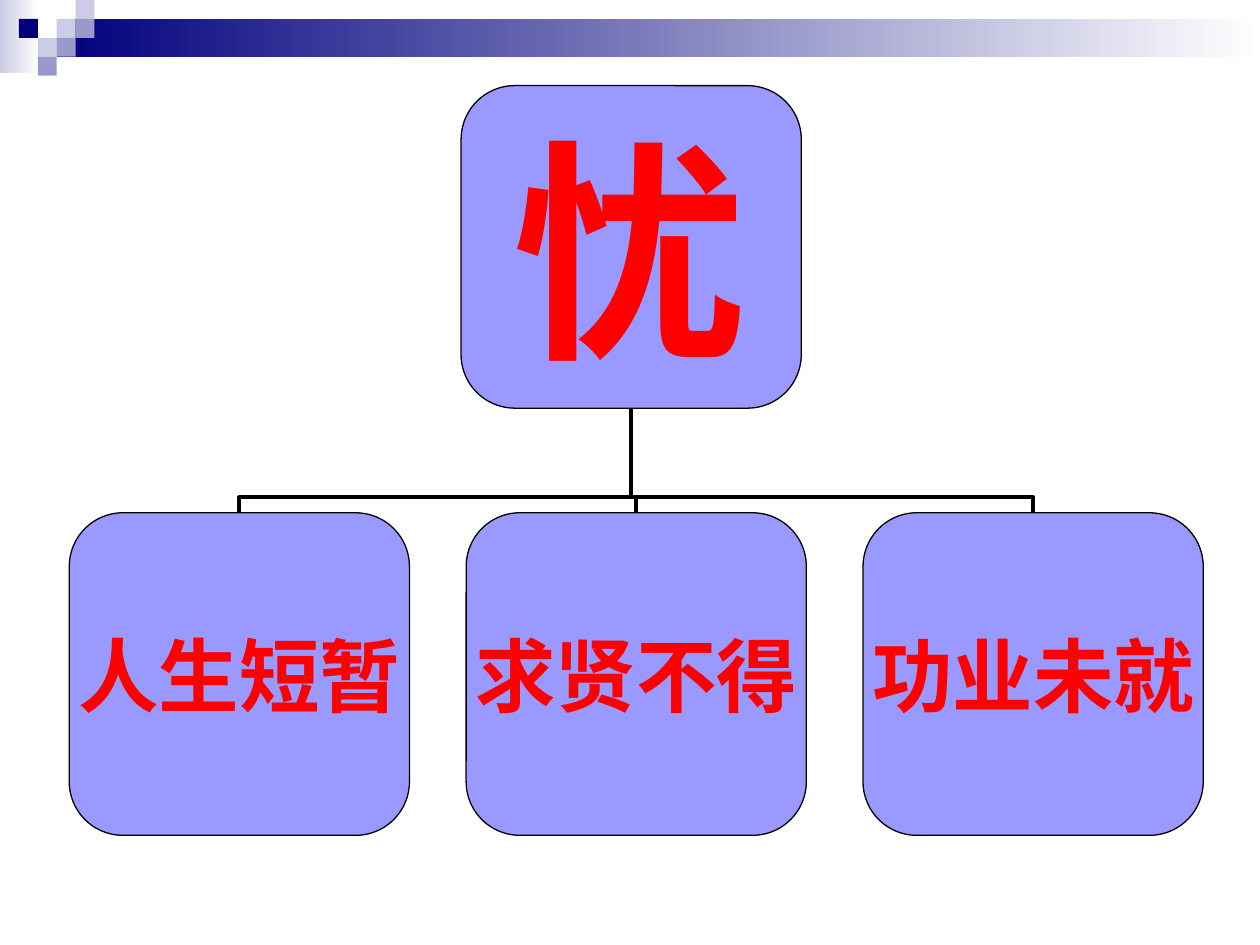
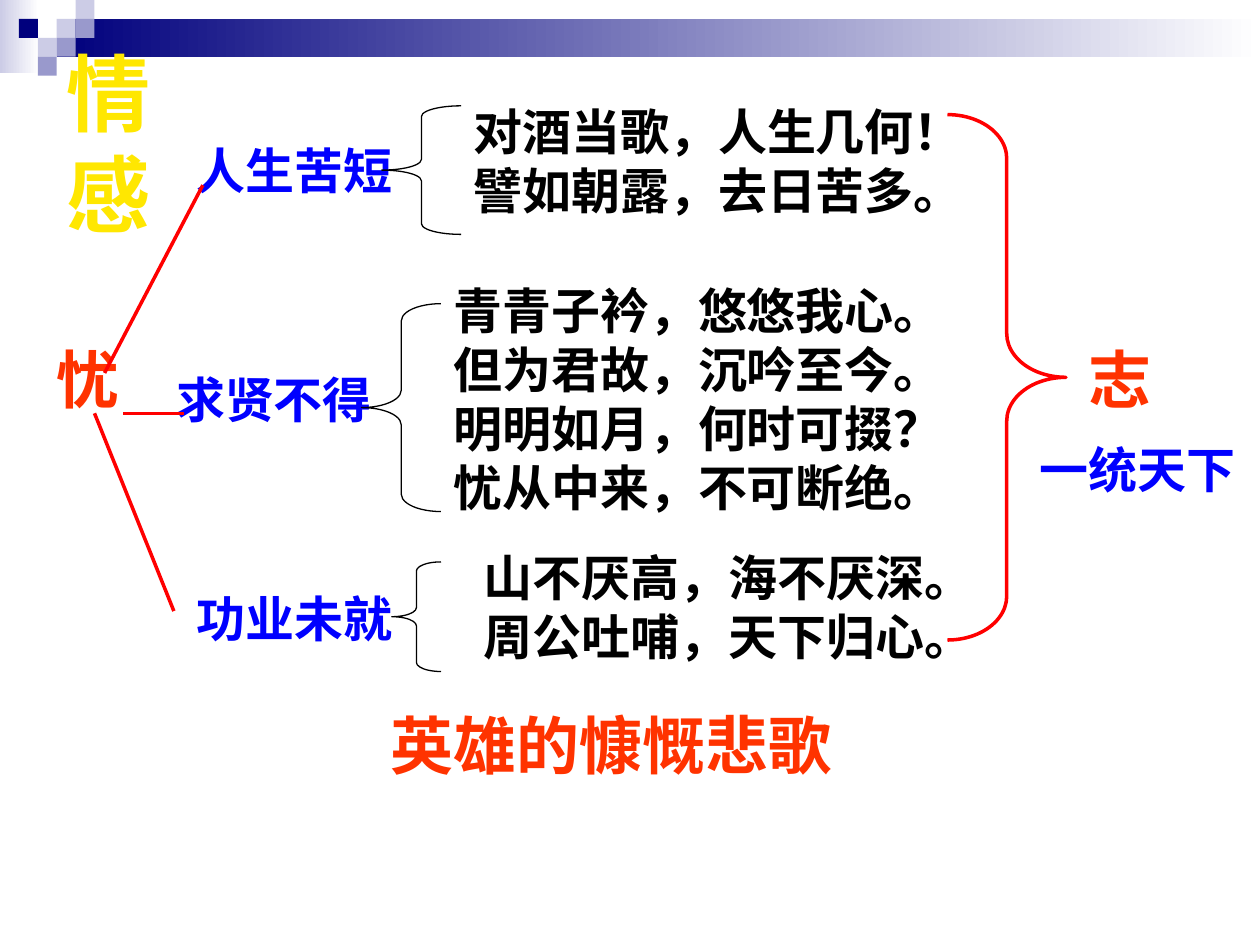
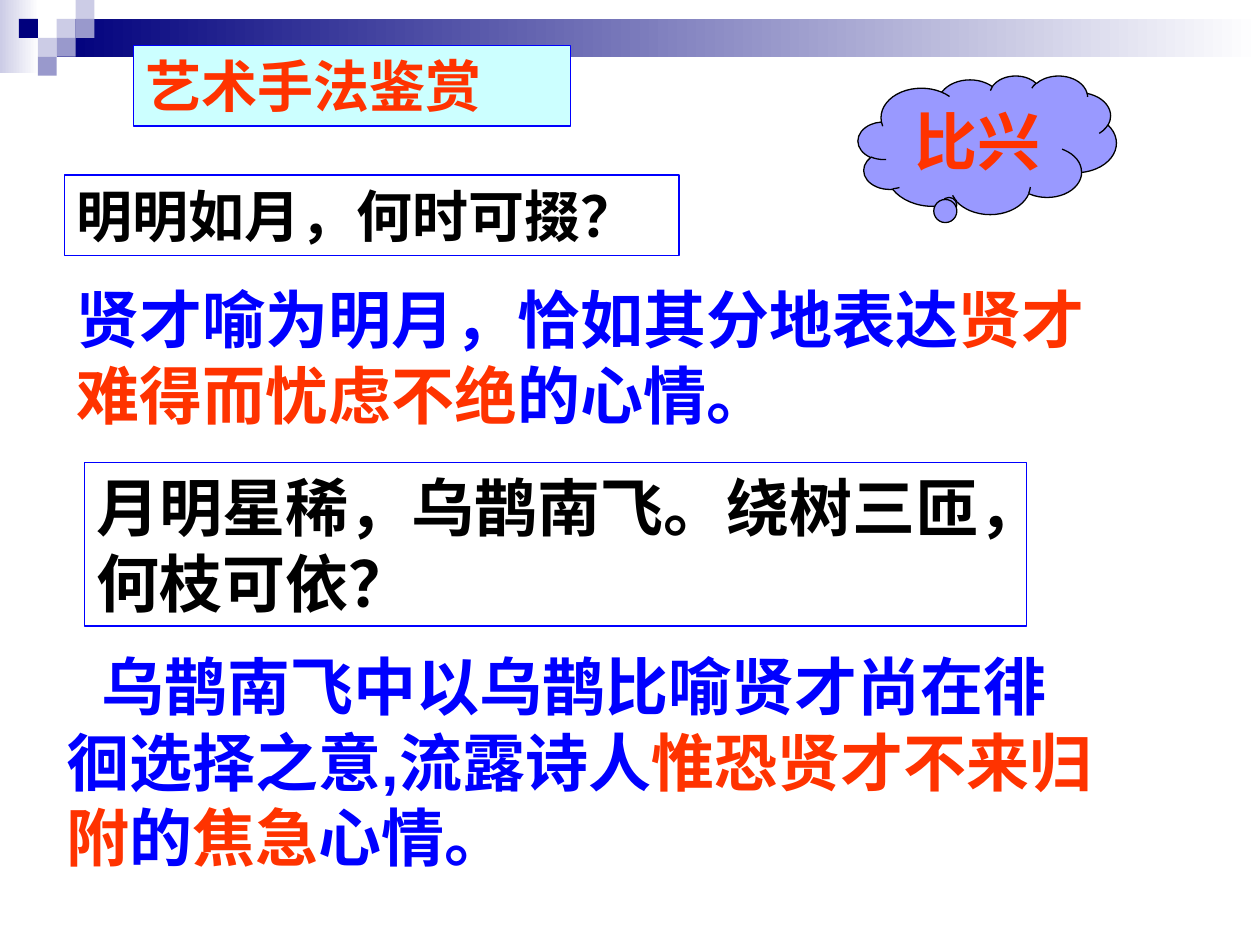
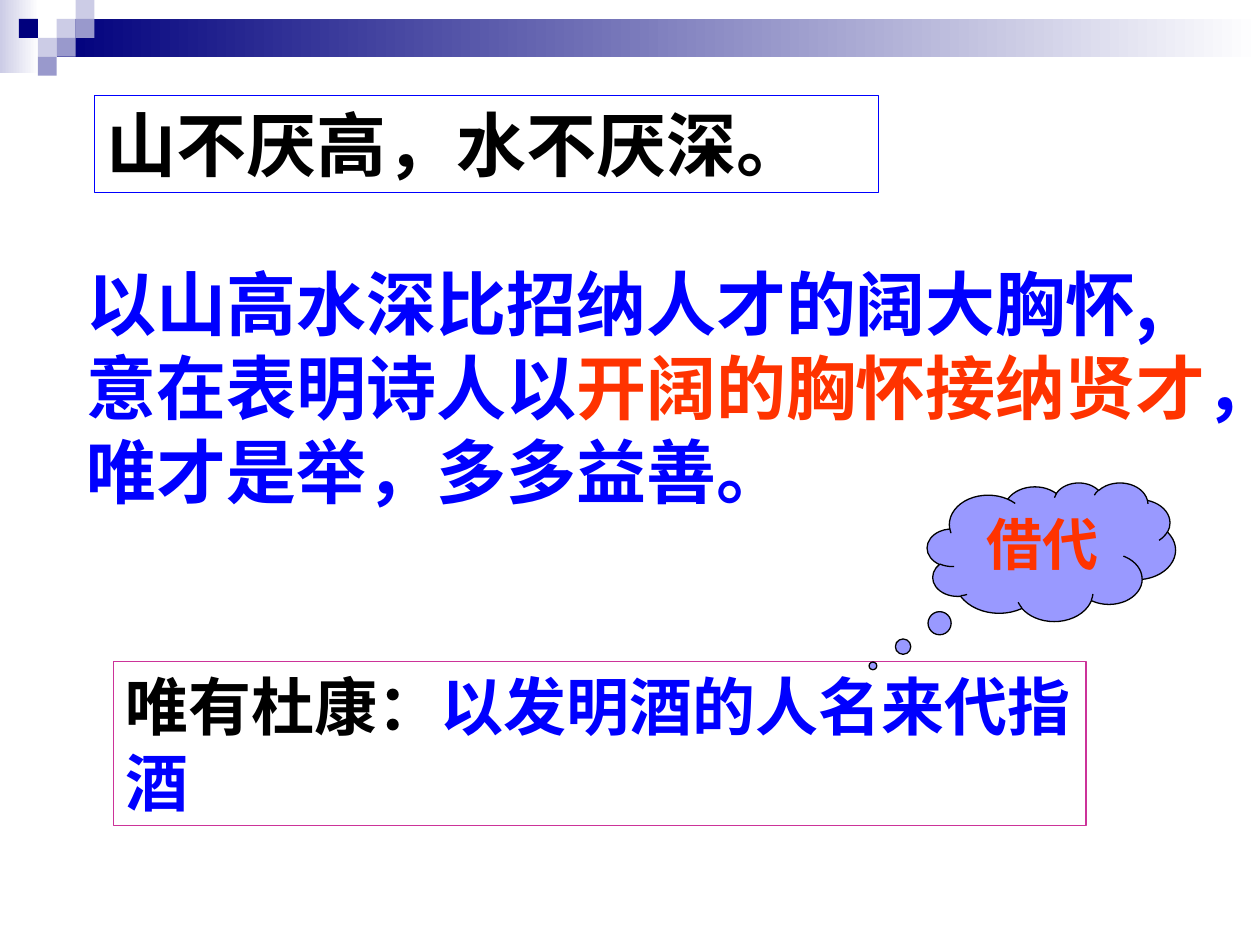
from dataclasses import dataclass

from lxml import etree
from pptx import Presentation
from pptx import util as u
from pptx.dml.color import RGBColor
from pptx.enum import shapes, text
from pptx.oxml.ns import qn

SHAPE = shapes.MSO_SHAPE


@dataclass(frozen=True)
class Theme:
    font: str = "Arial"
    cjk: str = "Noto Sans CJK SC"
    black: str = "000000"
    white: str = "FFFFFF"
    navy: str = "00007D"
    mid: str = "9999CC"
    pale: str = "CCCCE6"
    node: str = "9999FF"
    red: str = "FF0000"
    accent: str = "FF3300"
    blue: str = "0000FF"
    aqua: str = "CCFFFF"
    magenta: str = "CC3399"
    gold: tuple = ("FFE701", "FE3E02")
    root: int = 134
    branch: int = 46
    title: int = 48
    huge: int = 40
    large: int = 36
    medium: int = 32
    small: int = 28
    hairline: float = 0.75
    red_line: float = 2
    tree_line: float = 2.25


T = Theme()

# Header decoration: (column, row, colour) on a square grid
CELL = 0.15
CHECKER = [(3, 1, T.pale), (4, 0, T.pale), (4, 1, T.mid), (2, 2, T.pale),
           (1, 1, T.navy), (3, 2, T.mid), (2, 3, T.mid)]
GRADIENTS = [((0, 0, 0.31, 0.58), T.pale), ((0.45, 0.15, 9.55, 0.3), T.navy)]

# Tree of worries
NODE = (2.7, 2.56)
ROOT = ("忧", 3.66, 0.68)
BRANCHES = ["人生短暂", "求贤不得", "功业未就"]
BRANCH_LEFT, BRANCH_TOP, BRANCH_STEP = 0.55, 4.07, 3.15
ELBOW = 0.149

# Emotions: (words, left, top, width, height, size, colour)
EMOTIONS = [
    ("忧", 0.35, 2.65, 1.26, 0.7, T.large, T.accent),
    ("人生苦短", 1.46, 1.07, 2.44, 0.57, T.small, T.blue),
    ("对酒当歌，人生几何！\v譬如朝露，去日苦多。", 3.66, 0.76, 4.33, 1.04, T.small, T.black),
    ("求贤不得", 1.3, 2.88, 2.44, 0.57, T.small, T.blue),
    ("青青子衿，悠悠我心。\v但为君故，沉吟至今。\v明明如月，何时可掇？\v忧从中来，不可断绝。",
     3.5, 2.18, 4.41, 1.97, T.small, T.black),
    ("功业未就", 1.46, 4.62, 2.2, 0.57, T.small, T.blue),
    ("山不厌高，海不厌深。\v周公吐哺，天下归心。", 3.74, 4.3, 4.65, 1.04, T.small, T.black),
    ("志", 8.54, 2.65, 1.18, 0.7, T.large, T.accent),
    ("一统天下", 8.15, 3.44, 2.09, 0.57, T.small, T.blue),
]
CONCLUSION = ("英雄的慷慨悲歌", (2.72, 5.56, 4.72, 0.7))
BRACES = [
    (SHAPE.LEFT_BRACE, (3.03, 0.84, 0.63, 1.02), T.black, T.hairline),
    (SHAPE.LEFT_BRACE, (2.87, 2.41, 0.63, 1.65), T.black, T.hairline),
    (SHAPE.LEFT_BRACE, (3.11, 4.46, 0.39, 0.87), T.black, T.hairline),
    (SHAPE.RIGHT_BRACE, (7.52, 0.91, 0.94, 4.17), T.red, T.red_line),
]
SPOKES = [(0.83, 2.96, 1.61, 1.47), (0.98, 3.28, 1.46, 3.28), (0.75, 3.28, 1.38, 4.85)]
FIRST_LINE = 0.28

# Techniques: (runs, place, size, options); a run is words and colour
METAPHOR = [
    ([("艺术手法鉴赏", T.accent)], (1.06, 0.36, 3.47, 0.64), T.medium,
     dict(kind=SHAPE.RECTANGLE, fill=T.aqua, line=T.blue)),
    ([("贤才喻为明月，恰如其分地表达", T.blue), ("贤才难得而忧虑不绝", T.accent),
      ("的心情。", T.blue)], (0.51, 2.18, 8.66, 1.3), T.large, {}),
    ([("月明星稀，乌鹊南飞。绕树三匝，何枝可依？", T.black)], (0.67, 3.67, 7.48, 1.3), T.large,
     dict(kind=SHAPE.RECTANGLE, line=T.blue)),
    ([("乌鹊南飞中以乌鹊比喻贤才尚在徘徊选择之意,流露诗人", T.blue),
      ("惟恐贤才不来归附", T.accent), ("的", T.blue), ("焦急", T.accent),
      ("心情。", T.blue)], (0.43, 5.09, 8.43, 1.9), T.large, dict(indent=FIRST_LINE)),
    ([("明明如月，何时可掇？", T.black)], (0.51, 1.39, 4.88, 0.64), T.medium,
     dict(kind=SHAPE.RECTANGLE, line=T.blue)),
]
METAPHOR_CLOUD = ("比兴", (6.81, 0.6, 2.05, 1.1), T.large, (-0.149, 0.439))
METONYMY = [
    ([("山不厌高，水不厌深。", T.black)], (0.75, 0.76, 6.22, 0.77), T.huge,
     dict(kind=SHAPE.RECTANGLE, line=T.blue)),
    ([("以山高水深比招纳人才的阔大胸怀,意在表明诗人以", T.blue),
      ("开阔的胸怀接纳贤才", T.accent), ("，唯才是举，多多益善。", T.blue)],
     (0.59, 2.02, 9.21, 2.1), T.huge, dict(font=T.cjk)),
    ([("唯有杜康：", T.black), ("以发明酒的人名来代指酒", T.blue)],
     (0.9, 5.25, 7.72, 1.3), T.large, dict(kind=SHAPE.RECTANGLE, line=T.magenta)),
]
METONYMY_CLOUD = ("借代", (7.36, 3.83, 1.97, 1.1), T.medium, (-0.719, 0.823))


def rgb(value):
    return RGBColor.from_string(value)


def inches(values):
    return [u.Inches(v) for v in values]


def paint(sp, fill=None, line=None, width=T.hairline):
    if fill:
        sp.fill.solid()
        sp.fill.fore_color.rgb = rgb(fill)
    else:
        sp.fill.background()
    if line:
        sp.line.color.rgb = rgb(line)
        sp.line.width = u.Pt(width)
    else:
        sp.line.fill.background()


def grade(fill, colours, angle):
    fill.gradient()
    fill.gradient_angle = angle
    for stop, colour in zip(fill.gradient_stops, colours):
        stop.color.rgb = rgb(colour)


def add_shape(slide, kind, place, **look):
    sp = slide.shapes.add_shape(kind, *inches(place))
    sp.shadow.inherit = False
    paint(sp, **look)
    return sp


def write(sp, runs, size, font=T.font, align=text.PP_ALIGN.LEFT, indent=0):
    p = sp.text_frame.paragraphs[0]
    p.alignment = align
    if indent:
        p._p.get_or_add_pPr().set("indent", str(u.Inches(indent)))
    p.font.name, p.font.size, p.font.bold = font, u.Pt(size), True
    if len(runs) == 1:
        p.text = runs[0][0]
        p.font.color.rgb = rgb(runs[0][1])
        return
    for words, colour in runs:
        r = p.add_run()
        r.text = words
        r.font.color.rgb = rgb(colour)


def add_text(slide, runs, place, size, kind=None, fill=None, line=None, **style):
    """A text box, or a preset shape when kind is given, growing with its text."""
    if kind:
        sp = add_shape(slide, kind, place, fill=fill, line=line)
    else:
        sp = slide.shapes.add_textbox(*inches(place))
    tf = sp.text_frame
    tf.word_wrap = True
    tf.auto_size = text.MSO_AUTO_SIZE.SHAPE_TO_FIT_TEXT
    tf.vertical_anchor = text.MSO_ANCHOR.TOP
    write(sp, runs, size, **style)


def add_cloud(slide, words, place, size, tail):
    sp = add_shape(slide, SHAPE.CLOUD_CALLOUT, place, fill=T.node, line=T.black)
    sp.adjustments[0], sp.adjustments[1] = tail
    sp.text_frame.word_wrap = True
    sp.text_frame.vertical_anchor = text.MSO_ANCHOR.TOP
    write(sp, [(words, T.accent)], size, align=text.PP_ALIGN.CENTER)


def add_line(slide, kind, ends, colour, width):
    cx = slide.shapes.add_connector(kind, *inches(ends))
    cx.line.color.rgb = rgb(colour)
    cx.line.width = u.Pt(width)
    etree.SubElement(cx._element.spPr, qn("a:effectLst"))
    return cx


def add_node(slide, words, left, top, size):
    sp = add_shape(slide, SHAPE.ROUNDED_RECTANGLE, (left, top, *NODE), fill=T.node, line=T.black)
    tf = sp.text_frame
    tf.margin_left = tf.margin_right = tf.margin_top = tf.margin_bottom = 0
    tf.word_wrap = False
    tf.vertical_anchor = text.MSO_ANCHOR.MIDDLE
    write(sp, [(words, T.red)], size, align=text.PP_ALIGN.CENTER)
    return sp


def join_nodes(slide, child, root):
    """Elbow from a child's top to the root's bottom, turned so that it leaves upwards."""
    cx = add_line(slide, shapes.MSO_CONNECTOR.ELBOW, (0, 0, 1, 1), T.black, T.tree_line)
    cx.begin_connect(child, 0)
    cx.end_connect(root, 2)
    x1, x2 = child.left + child.width // 2, root.left + root.width // 2
    y1, y2 = child.top, root.top + root.height
    run, rise = abs(x2 - x1), y1 - y2
    cx.width, cx.height = rise, run
    cx.left, cx.top = (x1 + x2 - rise) // 2, (y1 + y2 - run) // 2
    xfrm = cx._element.spPr.find(qn("a:xfrm"))
    to_left = x1 < x2
    xfrm.set("rot", str((90 if to_left else 270) * 60000))
    xfrm.set("flipH", "1" if to_left else "0")
    xfrm.set("flipV", "1")
    guides = cx._element.spPr.find(qn("a:prstGeom")).get_or_add_avLst()
    etree.SubElement(guides, qn("a:gd"), name="adj1", fmla=f"val {round(ELBOW * 100000)}")
    slide.shapes._spTree.insert(2, cx._element)


def decorate_master(prs, slide):
    """Draw the header on a slide, then hand its parts to the master."""
    parts = []
    for place, colour in GRADIENTS:
        sp = add_shape(slide, SHAPE.RECTANGLE, place)
        grade(sp.fill, (colour, T.white), 0)
        parts.append(sp)
    for col, row, colour in CHECKER:
        parts.append(add_shape(slide, SHAPE.RECTANGLE,
                               (col * CELL, row * CELL, CELL, CELL), fill=colour))
    for sp in parts:
        prs.slide_master.shapes._spTree.append(sp._element)


def build_tree(slide):
    words, left, top = ROOT
    root = add_node(slide, words, left, top, T.root)
    for i, words in enumerate(BRANCHES):
        child = add_node(slide, words, BRANCH_LEFT + i * BRANCH_STEP, BRANCH_TOP, T.branch)
        join_nodes(slide, child, root)


def build_emotions(slide):
    for words, left, top, width, height, size, colour in EMOTIONS:
        add_text(slide, [(words, colour)], (left, top, width, height), size)
    for ends in SPOKES:
        add_line(slide, shapes.MSO_CONNECTOR.STRAIGHT, ends, T.red, T.red_line)
    for kind, place, colour, width in BRACES:
        sp = add_shape(slide, kind, place, line=colour, width=width)
        sp.adjustments[0] = place[3] / 12 / min(place[2:])
    title = slide.shapes.add_textbox(*inches((0.43, 0.28, 1.33, 1.02)))
    title.text_frame.word_wrap = False
    p = title.text_frame.paragraphs[0]
    p.font.name, p.font.size, p.font.bold = T.cjk, u.Pt(T.title), True
    r = p.add_run()
    r.text = "情感"
    grade(r.font.fill, T.gold, 270)
    words, place = CONCLUSION
    add_text(slide, [(words, T.accent)], place, T.large, indent=FIRST_LINE)


def build_technique(slide, passages, cloud):
    for runs, place, size, options in passages:
        add_text(slide, runs, place, size, **options)
    add_cloud(slide, *cloud)


def main():
    prs = Presentation()
    prs.slide_width, prs.slide_height = inches((10, 7.5))
    blank = prs.slide_layouts[6]
    tree, emotions, metaphor, metonymy = [prs.slides.add_slide(blank) for _ in range(4)]
    decorate_master(prs, tree)
    build_tree(tree)
    build_emotions(emotions)
    build_technique(metaphor, METAPHOR, METAPHOR_CLOUD)
    build_technique(metonymy, METONYMY, METONYMY_CLOUD)
    prs.save("out.pptx")


if __name__ == "__main__":
    main()
